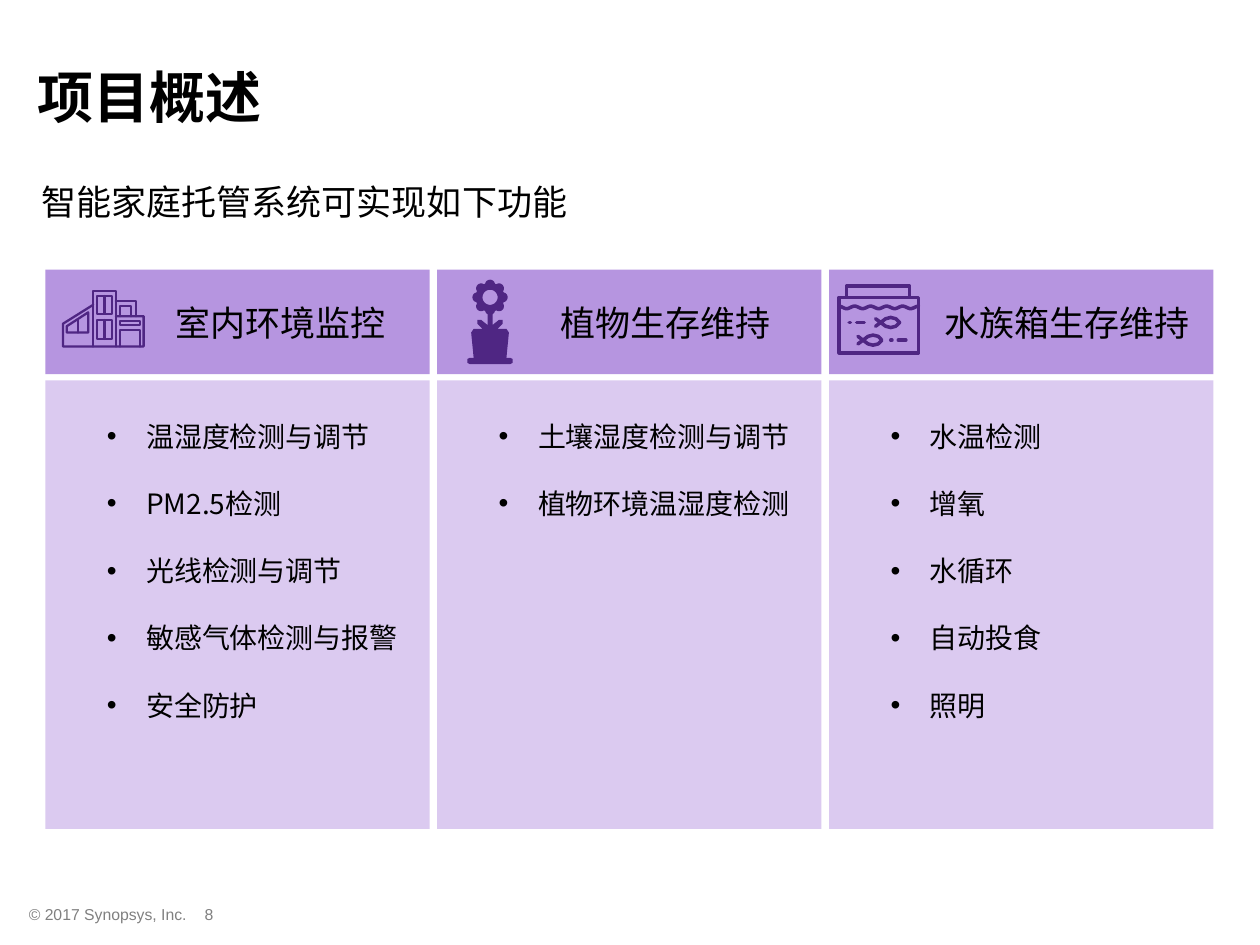
from dataclasses import dataclass
from math import cos, pi, radians, sin, sqrt

from lxml.etree import SubElement
from pptx import Presentation
from pptx.dml.color import RGBColor
from pptx.enum.shapes import MSO_SHAPE as Shape
from pptx.enum.text import MSO_ANCHOR as Anchor, MSO_AUTO_SIZE as AutoSize, PP_ALIGN as Align
from pptx.oxml.ns import qn
from pptx.util import Inches, Pt


@dataclass(frozen=True)
class Theme:
    black: str = "000000"
    gray: str = "808080"
    header: str = "B695E0"
    body: str = "DBCAF0"
    icon: str = "4F2683"
    latin: str = "Arial"
    cjk: str = "Noto Sans CJK SC"
    title_size: float = 32
    heading_size: float = 20
    bullet_size: float = 16
    footer_size: float = 9
    bullet_line: float = 19.2
    bullet_indent: float = 22.5


@dataclass(frozen=True)
class Panel:
    heading: str
    heading_left: float
    heading_width: float
    features: tuple


THEME = Theme()
PANELS = (
    Panel("室内环境监控", 1.27, 1.91,
          ("温湿度检测与调节", "PM2.5检测", "光线检测与调节", "敏感气体检测与报警", "安全防护")),
    Panel("植物生存维持", 4.26, 2.04, ("土壤湿度检测与调节", "植物环境温湿度检测")),
    Panel("水族箱生存维持", 7.33, 2.28,
          ("水温检测", "增氧", "水循环", "自动投食", "照明")),
)
PANEL_LEFT, PANEL_PITCH, PANEL_WIDTH = 0.36, 3.11, 3.05


def write(frame, *lines: str, size: float, font: str = THEME.cjk, color: str = THEME.black,
          bold: bool = False, align=Align.LEFT, anchor=Anchor.TOP, bullets: bool = False) -> None:
    """Fill a text frame, one paragraph per line."""
    frame.word_wrap = True
    frame.auto_size = AutoSize.NONE
    frame.vertical_anchor = anchor
    for index, line in enumerate(lines):
        paragraph = frame.add_paragraph() if index else frame.paragraphs[0]
        paragraph.alignment = align
        if bullets:
            props = paragraph._p.get_or_add_pPr()
            props.set("marL", str(Pt(THEME.bullet_indent)))
            props.set("indent", str(Pt(-THEME.bullet_indent)))
            SubElement(props, qn("a:buFont"), typeface=THEME.latin)
            SubElement(props, qn("a:buChar"), char="•")
            paragraph.line_spacing = Pt(THEME.bullet_line)
            if index:
                paragraph.space_before = Pt(THEME.bullet_line)
        run = paragraph.add_run()
        run.text = line
        run.font.size, run.font.bold, run.font.name = Pt(size), bold, font
        run.font.color.rgb = RGBColor.from_string(color)
        SubElement(run._r.get_or_add_rPr(), qn("a:ea"), typeface=THEME.cjk)


def text_box(shapes, left: float, top: float, width: float, height: float, *lines: str,
             **style) -> None:
    box = shapes.add_textbox(Inches(left), Inches(top), Inches(width), Inches(height))
    write(box.text_frame, *lines, **style)


def paint(shape, color: str) -> None:
    shape.shadow.inherit = False
    shape.fill.solid()
    shape.fill.fore_color.rgb = RGBColor.from_string(color)
    shape.line.fill.background()


def block(shapes, left: float, top: float, width: float, height: float, color: str) -> None:
    paint(shapes.add_shape(Shape.RECTANGLE, Inches(left), Inches(top), Inches(width),
                           Inches(height)), color)


def trace(shapes, *contours):
    """Build one freeform from several contours, given in inches."""
    builder = None
    for contour in contours:
        start, *rest = [(Inches(x), Inches(y)) for x, y in contour]
        if builder is None:
            builder = shapes.build_freeform(*start)
        else:
            builder.move_to(*start)
        builder.add_line_segments(rest, close=False)
    return builder.convert_to_shape()


def strokes(shapes, weight: float, *contours) -> None:
    shape = trace(shapes, *contours)
    shape.shadow.inherit = False
    shape.fill.background()
    shape.line.color.rgb = RGBColor.from_string(THEME.icon)
    shape.line.width = Pt(weight)
    shape.element.spPr.find(qn("a:ln")).set("cap", "rnd")


def box_path(left: float, top: float, right: float, bottom: float) -> list:
    return [(left, top), (right, top), (right, bottom), (left, bottom), (left, top)]


def draw_house(shapes) -> None:
    windows = [path for top, bottom in ((2.35, 2.49), (2.54, 2.69))
               for path in (box_path(0.77, top, 0.89, bottom), [(0.83, top), (0.83, bottom)])]
    strokes(shapes, 1.3,
            # Wing, tower and right-hand storeys
            [(0.74, 2.42), (0.5, 2.57), (0.5, 2.75), (1.14, 2.75), (1.14, 2.51), (0.92, 2.51)],
            [(0.74, 2.75), (0.74, 2.31), (0.92, 2.31), (0.92, 2.75)],
            [(0.92, 2.39), (1.08, 2.39), (1.08, 2.51)],
            # Windows and garage
            [(0.53, 2.64), (0.53, 2.59), (0.7, 2.48), (0.7, 2.64), (0.53, 2.64)],
            [(0.62, 2.54), (0.62, 2.64)],
            *windows,
            [(0.95, 2.51), (0.95, 2.43), (1.04, 2.43), (1.04, 2.51)],
            box_path(0.95, 2.55, 1.11, 2.58),
            [(0.95, 2.75), (0.95, 2.62), (1.11, 2.62), (1.11, 2.75)])


def draw_flower(shapes) -> None:
    """Trace the right half, mirror it, and cut out the flower's eye."""
    center_x, center_y = 3.89, 2.36
    petal_distance, petal_radius, eye_radius = 0.1, 0.04, 0.06

    def polar(radius: float, degrees: float) -> tuple:
        angle = radians(degrees)
        return center_x + radius * cos(angle), center_y + radius * sin(angle)

    def petal_edge(degrees: float) -> float:
        offset = radians((degrees + 22.5) % 45 - 22.5)
        return (petal_distance * cos(offset)
                + sqrt(petal_radius ** 2 - (petal_distance * sin(offset)) ** 2))

    petals = [polar(petal_edge(degrees), degrees) for degrees in range(-90, 81, 5)]
    stem_and_pot = [(3.91, 2.49), (3.91, 2.58), (3.96, 2.54), (3.99, 2.54), (3.99, 2.57),
                    (3.95, 2.61), (4.02, 2.61), (4.04, 2.64), (4.02, 2.84), (4.05, 2.84),
                    (4.07, 2.85), (4.07, 2.88), (4.05, 2.89)]
    right_half = petals + stem_and_pot
    left_half = [(2 * center_x - x, y) for x, y in reversed(right_half)]
    eye = [polar(eye_radius, degrees) for degrees in range(360, -1, -10)]
    paint(trace(shapes, right_half + left_half, eye), THEME.icon)


def draw_aquarium(shapes) -> None:
    water = [(6.66 + step / 100, 2.44 + 0.01 * cos(2 * pi * (step - 6) / 12.7))
             for step in range(64)]
    fish = ((-0.12, -0.03), (-0.08, 0), (-0.04, 0.03), (0, 0.04), (0.04, 0.03), (0.07, 0),
            (0.04, -0.03), (0, -0.04), (-0.04, -0.03), (-0.08, 0), (-0.12, 0.03))
    shoal = [[(x + dx, y + dy) for dx, dy in fish] for x, y in ((7.07, 2.56), (6.93, 2.7))]
    bubbles = [[(x + start, y), (x + end, y)] for x, y in ((6.74, 2.56), (7.07, 2.7))
               for start, end in ((0, 0.01), (0.06, 0.12))]
    strokes(shapes, 2, box_path(6.66, 2.36, 7.29, 2.8), box_path(6.72, 2.27, 7.22, 2.36),
            water, *shoal, *bubbles)


def draw_panel(shapes, panel: Panel, left: float) -> None:
    block(shapes, left, 2.14, PANEL_WIDTH, 0.83, THEME.header)
    block(shapes, left, 3.02, PANEL_WIDTH, 3.56, THEME.body)
    text_box(shapes, panel.heading_left, 2.34, panel.heading_width, 0.44, panel.heading,
             size=THEME.heading_size, align=Align.CENTER)
    features_height = 0.1 + (2 * len(panel.features) - 1) * THEME.bullet_line / 72
    text_box(shapes, left + 0.39, 3.28, 2.66, features_height, *panel.features,
             size=THEME.bullet_size, bullets=True)


def main() -> None:
    deck = Presentation()
    deck.slide_width, deck.slide_height = Inches(10), Inches(7.5)
    slide = deck.slides.add_slide(deck.slide_layouts[5])

    # Footer
    footer = dict(size=THEME.footer_size, font=THEME.latin, color=THEME.gray)
    text_box(slide.shapes, 0.13, 7.13, 3.08, 0.25, "© 2017 Synopsys, Inc.", **footer)
    text_box(slide.shapes, 1.31, 7.13, 0.7, 0.25, "8", align=Align.CENTER, **footer)

    # Panels with their icons
    for index, panel in enumerate(PANELS):
        draw_panel(slide.shapes.add_group_shape().shapes, panel, PANEL_LEFT + index * PANEL_PITCH)
    for draw_icon in (draw_house, draw_flower, draw_aquarium):
        draw_icon(slide.shapes)

    # Title and lead line
    text_box(slide.shapes, 0.23, 1.38, 9.21, 0.44, "智能家庭托管系统可实现如下功能",
             size=THEME.heading_size, font=THEME.latin)
    title = slide.shapes.title
    title.left, title.top, title.width, title.height = map(Inches, (0.2, 0.14, 9.5, 1.25))
    write(title.text_frame, "项目概述", size=THEME.title_size, font=THEME.latin, bold=True,
          anchor=Anchor.MIDDLE)

    deck.save("out.pptx")


if __name__ == "__main__":
    main()
